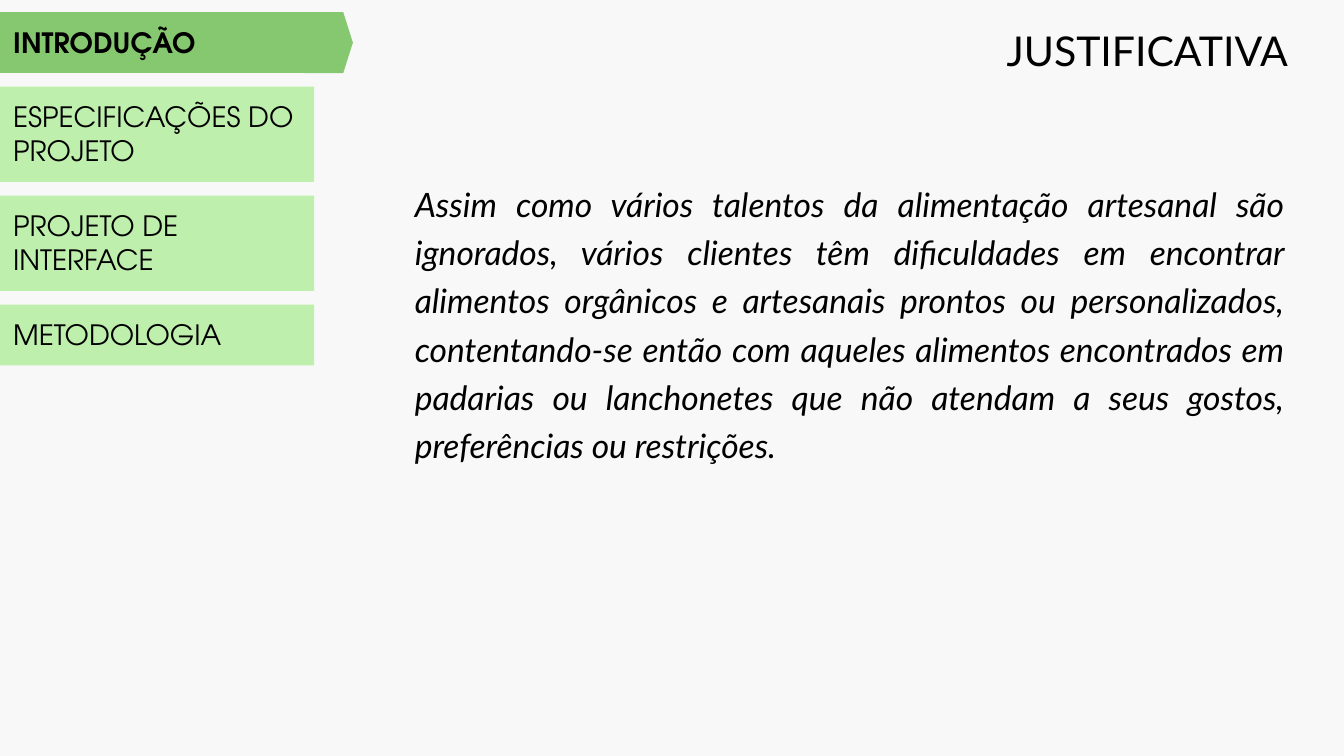
from dataclasses import dataclass

from pptx import Presentation
from pptx.dml.color import RGBColor as RGB
from pptx.enum.shapes import MSO_SHAPE as Shape
from pptx.enum.text import MSO_ANCHOR as Anchor, PP_ALIGN as Align
from pptx.util import Cm, Pt


@dataclass(frozen=True)
class Theme:
    back: RGB = RGB(0xF9, 0xF8, 0xF8)
    ink: RGB = RGB(0, 0, 0)
    tab: RGB = RGB(0xBE, 0xEF, 0xAD)
    live: RGB = RGB(0x86, 0xC8, 0x6F)
    sans: str = "Lato"
    menu: str = "TeX Gyre Adventor"
    title: Pt = Pt(22)
    body: Pt = Pt(18)
    item: Pt = Pt(15)


theme = Theme()


def write(shape, text, face, size, align):
    """Fill the shape with one paragraph and return that paragraph."""
    frame = shape.text_frame
    frame.word_wrap = True
    frame.vertical_anchor = Anchor.TOP
    frame.margin_left = frame.margin_right = Cm(0.25)
    frame.margin_top = frame.margin_bottom = Cm(0.25)
    para = frame.paragraphs[0]
    para.text = text
    para.alignment = align
    para.font.name = face
    para.font.size = size
    para.font.color.rgb = theme.ink
    return para


def block(kind, left, top, width, height, color):
    """Add a flat shape without outline or shadow."""
    shape = slide.shapes.add_shape(kind, Cm(left), Cm(top), Cm(width), Cm(height))
    shape.shadow.inherit = False
    shape.fill.solid()
    shape.fill.fore_color.rgb = color
    shape.line.fill.background()
    return shape


deck = Presentation()
deck.slide_width, deck.slide_height = Cm(25.4), Cm(14.29)
slide = deck.slides.add_slide(deck.slide_layouts[6])
slide.background.fill.solid()
slide.background.fill.fore_color.rgb = theme.back

# Body text
box = slide.shapes.add_textbox(Cm(6.32), Cm(3.07), Cm(18.21), Cm(7.92))
body = write(
    box,
    "Assim como vários talentos da alimentação artesanal são ignorados, "
    "vários clientes têm dificuldades em encontrar alimentos orgânicos e "
    "artesanais prontos ou personalizados, contentando-se então com aqueles "
    "alimentos encontrados em padarias ou lanchonetes que não atendam a seus "
    "gostos, preferências ou restrições.",
    theme.sans, theme.body, Align.JUSTIFY,
)
body.font.italic = True
body.line_spacing = 1.2
body.space_before = Pt(5)
props = body._p.get_or_add_pPr()
props.set("marL", str(Cm(1.27)))
props.set("indent", "0")

# Title
box = slide.shapes.add_textbox(Cm(10.85), Cm(0.23), Cm(13.74), Cm(1.45))
write(box, "JUSTIFICATIVA", theme.sans, theme.title, Align.RIGHT)

# Section menu, stacked with equal gaps; the first section is current
top, gap = 0.23, 0.26
tabs = [
    ("INTRODUÇÃO", 1.15),
    ("ESPECIFICAÇÕES DO PROJETO", 1.8),
    ("PROJETO DE INTERFACE", 1.8),
    ("METODOLOGIA", 1.15),
]
for num, (name, height) in enumerate(tabs):
    live = num == 0
    tab = block(Shape.RECTANGLE, 0, top, 5.94, height,
                theme.live if live else theme.tab)
    para = write(tab, name, theme.menu, theme.item, Align.LEFT)
    para.font.bold = live
    top += height + gap

# Pointed end of the current tab
tip = block(Shape.FLOWCHART_OFFPAGE_CONNECTOR, 5.64, 0.35, 1.15, 0.91, theme.live)
tip.rotation = 270

deck.save("out.pptx")
